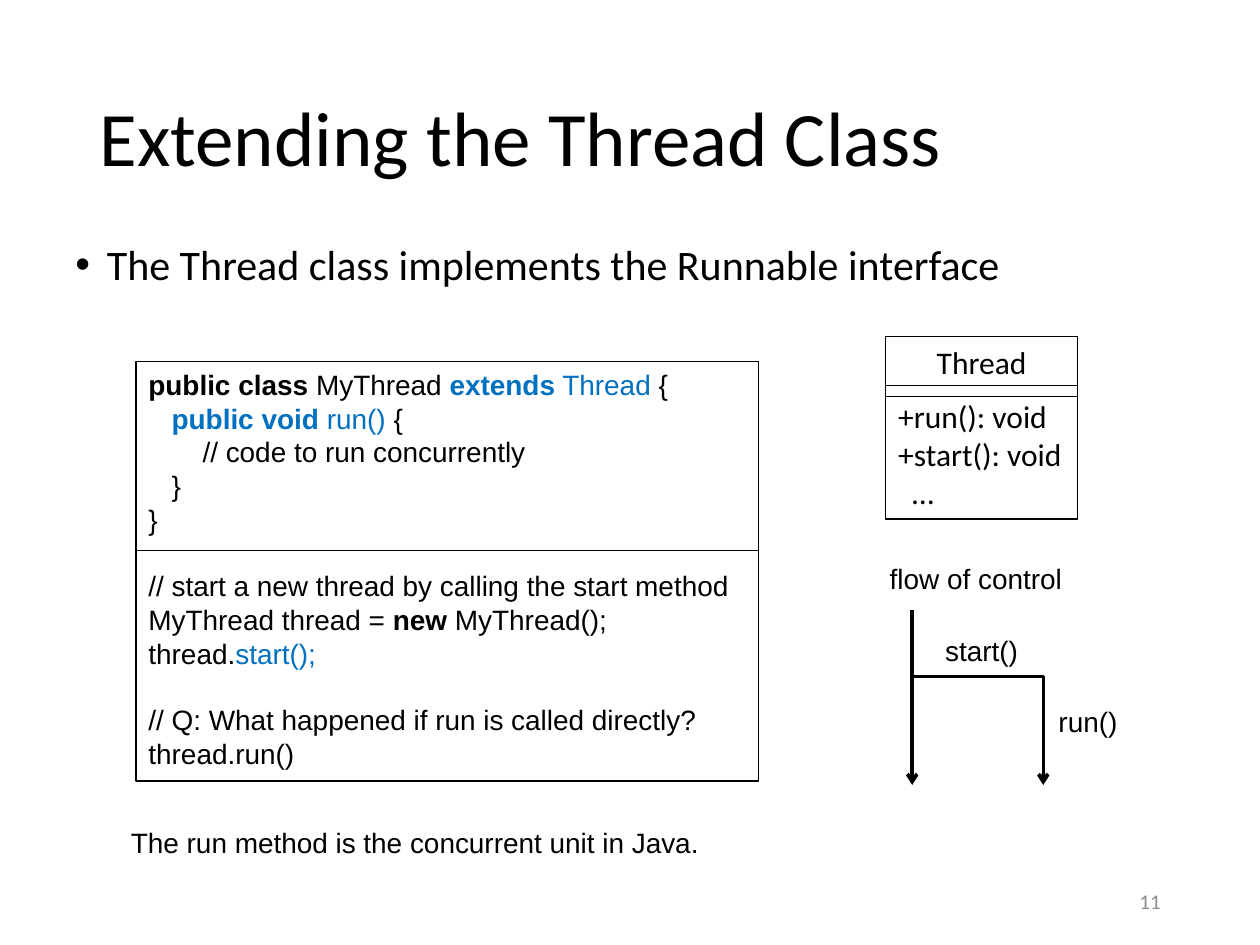
from lxml.etree import SubElement
from pptx import Presentation
from pptx.dml.color import RGBColor
from pptx.enum.shapes import MSO_CONNECTOR as Connector, MSO_SHAPE as Shape
from pptx.enum.text import MSO_ANCHOR as Anchor, PP_ALIGN as Align
from pptx.oxml.ns import qn
from pptx.util import Inches, Pt

COLORS = {"ink": "000000", "accent": "0070C0", "muted": "8C8C8C"}
COLUMNS, ROWS = 20, 15
BOLD, BLUE, BOLD_BLUE = (True, "ink"), (False, "accent"), (True, "accent")
CODE_GAP = 19

CODE = [
    ([("public class ", BOLD), "MyThread ", ("extends", BOLD_BLUE), (" Thread ", BLUE), "{"], 0),
    (["   ", ("public void", BOLD_BLUE), (" run() ", BLUE), "{"], 0),
    (["       // code to run concurrently"], 0),
    (["   }"], 0),
    (["}"], 0),
    (["// start a new thread by calling the start method"], CODE_GAP),
    (["MyThread thread = ", ("new ", BOLD), "MyThread();"], 0),
    (["thread.", ("start();", BLUE)], 0),
    (["// Q: What happened if run is called directly?"], CODE_GAP),
    (["thread.run()"], 0),
]


def rgb(name):
    return RGBColor.from_string(COLORS[name])


class SlideBuilder:
    heading_font, code_font = "Calibri", "Arial"

    def __init__(self, presentation):
        self.slide = presentation.slides.add_slide(presentation.slide_layouts[5])
        self.column = presentation.slide_width / COLUMNS
        self.row = presentation.slide_height / ROWS

    def point(self, column, row):
        return round(column * self.column), round(row * self.row)

    def box(self, left, top, width, height):
        return *self.point(left, top), *self.point(width, height)

    def style(self, font, size, name, color="ink", bold=False):
        font.size, font.name, font.bold = Pt(size), name, bold
        font.color.rgb = rgb(color)

    def title(self, text, area):
        shape = self.slide.shapes.title
        shape.left, shape.top, shape.width, shape.height = self.box(*area)
        frame = shape.text_frame
        frame.text = text
        frame.vertical_anchor = Anchor.MIDDLE
        paragraph = frame.paragraphs[0]
        paragraph.alignment, paragraph.line_spacing = Align.LEFT, 0.9
        self.style(paragraph.runs[0].font, 44, self.heading_font)

    def text(self, text, area, size=16, name=None, color="ink",
             align=Align.LEFT, anchor=Anchor.TOP, wrap=True):
        shape = self.slide.shapes.add_textbox(*self.box(*area))
        frame = shape.text_frame
        frame.text = text
        frame.word_wrap, frame.vertical_anchor = wrap, anchor
        paragraph = frame.paragraphs[0]
        paragraph.alignment = align
        self.style(paragraph.runs[0].font, size, name or self.code_font, color)
        return paragraph

    def bullet(self, text, area):
        paragraph = self.text(text, area, 24, self.heading_font)
        paragraph.line_spacing = 0.9
        properties = paragraph._p.get_or_add_pPr()
        properties.set("marL", str(Inches(0.25)))
        properties.set("indent", str(-Inches(0.25)))
        SubElement(properties, qn("a:buFont"), typeface="Arial")
        SubElement(properties, qn("a:buChar"), char="•")

    def panel(self, area, wrap=True):
        shape = self.slide.shapes.add_shape(Shape.RECTANGLE, *self.box(*area))
        shape.shadow.inherit = False
        shape.fill.background()
        shape.line.color.rgb, shape.line.width = rgb("ink"), Pt(0.75)
        frame = shape.text_frame
        frame.word_wrap, frame.vertical_anchor = wrap, Anchor.TOP
        return frame

    def paragraphs(self, frame, lines, size, name):
        for index, (runs, gap) in enumerate(lines):
            paragraph = frame.add_paragraph() if index else frame.paragraphs[0]
            paragraph.alignment, paragraph.space_before = Align.LEFT, Pt(gap)
            for part in runs:
                text, (bold, color) = (part, (False, "ink")) if isinstance(part, str) else part
                run = paragraph.add_run()
                run.text = text
                self.style(run.font, size, name, color, bold)

    def code_panel(self, area, lines):
        self.paragraphs(self.panel(area), lines, 16, self.code_font)

    def class_panel(self, area, name, members):
        frame = self.panel(area, wrap=False)
        lines = [([name], 0)] + [([member], 0 if index else 9.5) for index, member in enumerate(members)]
        self.paragraphs(frame, lines, 18, self.heading_font)
        frame.paragraphs[0].alignment = Align.CENTER
        frame.paragraphs[-1]._p.get_or_add_pPr().set("marL", str(Inches(0.11)))

    def stroke(self, shape, width, arrow):
        shape.line.color.rgb, shape.line.width = rgb("ink"), Pt(width)
        if arrow:
            SubElement(shape.line._get_or_add_ln(), qn("a:tailEnd"), type="arrow")

    def line(self, start, end, width=0.5, arrow=False):
        connector = self.slide.shapes.add_connector(
            Connector.STRAIGHT, *self.point(*start), *self.point(*end))
        self.stroke(connector, width, arrow)
        SubElement(connector._element.spPr, qn("a:effectLst"))

    def flow(self, points):
        start, *rest = [self.point(*point) for point in points]
        builder = self.slide.shapes.build_freeform(*start)
        builder.add_line_segments(rest, close=False)
        shape = builder.convert_to_shape()
        shape.shadow.inherit = False
        shape.fill.background()
        self.stroke(shape, 2, True)


def main():
    presentation = Presentation()
    presentation.slide_width, presentation.slide_height = Inches(10), Inches(7.5)
    builder = SlideBuilder(presentation)

    builder.title("Extending the Thread Class", (1.38, 0.8, 17.24, 2.9))
    builder.bullet("The Thread class implements the Runnable interface", (1, 3.78, 18, 1.22))

    code_left, code_width = 2.16, 9.88
    builder.code_panel((code_left, 5.74, code_width, 6.66), CODE)
    builder.line((code_left, 8.74), (code_left + code_width, 8.74))

    class_left, class_width = 14.06, 3.04
    builder.class_panel((class_left, 5.34, class_width, 2.9), "Thread",
                        ["+run(): void", "+start(): void", "…"])
    for row in (6.12, 6.3):
        builder.line((class_left, row), (class_left + class_width, row))

    main_thread, new_thread, fork, end = 14.48, 16.56, 10.74, 12.46
    builder.flow([(main_thread, 9.68), (main_thread, fork), (new_thread, fork), (new_thread, end)])
    builder.line((main_thread, fork), (main_thread, end), 2, True)
    for text, left, top, width in (("flow of control", 13.9, 8.82, 3.18),
                                   ("start()", 14.8, 9.96, 1.56),
                                   ("run()", 16.6, 11.08, 1.34)):
        builder.text(text, (left, top, width, 0.74), align=Align.CENTER, wrap=False)

    builder.text("The run method is the concurrent unit in Java.", (1.88, 13, 10.56, 0.74))
    builder.text("11", (14.12, 13.9, 4.5, 0.8), 12, builder.heading_font, "muted",
                 Align.RIGHT, Anchor.MIDDLE)
    presentation.save("out.pptx")


if __name__ == "__main__":
    main()
